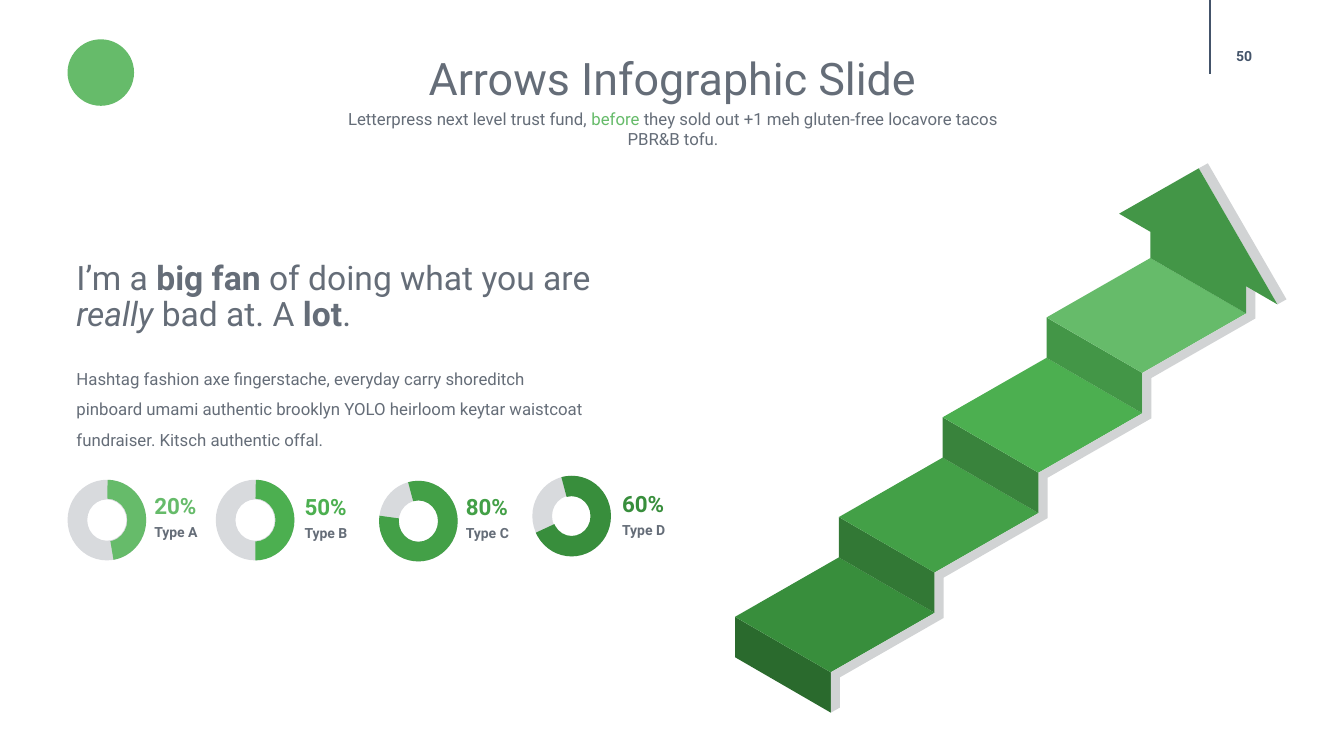
from dataclasses import dataclass

from lxml import etree
from pptx import Presentation
from pptx.dml.color import RGBColor
from pptx.enum.shapes import MSO_CONNECTOR, MSO_SHAPE
from pptx.enum.text import MSO_ANCHOR, MSO_AUTO_SIZE, PP_ALIGN
from pptx.oxml.ns import qn
from pptx.util import Pt

OVAL, DONUT, BLOCK_ARC = MSO_SHAPE.OVAL, MSO_SHAPE.DONUT, MSO_SHAPE.BLOCK_ARC
STRAIGHT = MSO_CONNECTOR.STRAIGHT
LEFT, CENTER = PP_ALIGN.LEFT, PP_ALIGN.CENTER
TOP, MIDDLE = MSO_ANCHOR.TOP, MSO_ANCHOR.MIDDLE
NO_AUTOSIZE = MSO_AUTO_SIZE.NONE

EMU_PER_PX = 9144  # 100 px to the inch
FONT = "Roboto"
GREY, NAVY, TRACK, SHADOW = "656D78", "44546A", "D8DADD", "D1D3D4"
LIGHT_GREEN, ARROW_GREEN = "66BB6A", "439647"
TITLE_ONLY = 5

Point = tuple[int, int]
Box = tuple[int, int, int, int]


@dataclass(frozen=True)
class TextRun:
    text: str
    color: str = GREY
    bold: bool = False
    italic: bool = False


@dataclass(frozen=True)
class Step:
    tread: str
    riser: str


@dataclass(frozen=True)
class Gauge:
    ring: Point
    label: Point
    percent: str
    name: str
    color: str
    arc: tuple[float, float, float]


STEPS = [
    Step("388E3C", "2A6A2D"),
    Step("43A047", "327835"),
    Step("4CAF50", "39833C"),
    Step(LIGHT_GREEN, ARROW_GREEN),
]
STAIR_START: Point = (729, 612)
STEP_SHIFT: Point = (103, -99)
TREAD: list[Point] = [(0, 0), (103, -59), (198, -4), (95, 55)]
RISER: list[Point] = [(0, 0), (95, 55), (95, 95), (0, 40)]
SHADOW_SHIFT: Point = (9, 5)
ARROW_HEAD: list[Point] = [(1267, 302), (1189, 167), (1110, 212), (1141, 230),
                           (1141, 256), (1236, 311), (1236, 284)]
HEAD_SHADOW: list[Point] = [(1198, 162), (1189, 167), (1267, 302), (1276, 297)]

GAUGES = [
    Gauge((67, 476), (153, 491), "20%", "Type A", LIGHT_GREEN, (162.64, 48.33, 0.24)),
    Gauge((214, 476), (302, 492), "50%", "Type B", "4CAF50", (162.64, 53.67, 0.24)),
    Gauge((376, 477), (462, 492), "80%", "Type C", "43A047", (153.14, 112.73, 0.25)),
    Gauge((528, 472), (617, 489), "60%", "Type D", "388E3C", (153.14, 93.04, 0.26)),
]


def px(value: int) -> int:
    return value * EMU_PER_PX


def rgb(color: str) -> RGBColor:
    return RGBColor.from_string(color)


def shifted(points: list[Point], offset: Point) -> list[Point]:
    return [(x + offset[0], y + offset[1]) for x, y in points]


def paint(shape, color: str) -> None:
    shape.shadow.inherit = False
    shape.fill.solid()
    shape.fill.fore_color.rgb = rgb(color)
    shape.line.fill.background()


def add_preset(slide, kind, box: Box, color: str):
    shape = slide.shapes.add_shape(kind, *map(px, box))
    paint(shape, color)
    return shape


def add_polygon(slide, points: list[Point], color: str) -> None:
    builder = slide.shapes.build_freeform(*points[0], scale=EMU_PER_PX)
    builder.add_line_segments(points[1:], close=True)
    paint(builder.convert_to_shape(), color)


def write_text(shape, box: Box, runs: list[TextRun], size: int, align=LEFT,
               anchor=TOP, spacing: float = 1.0, inset: bool = True) -> None:
    shape.left, shape.top, shape.width, shape.height = map(px, box)
    frame = shape.text_frame
    frame.word_wrap = True
    frame.auto_size = NO_AUTOSIZE
    frame.vertical_anchor = anchor
    frame.margin_left = frame.margin_right = px(10 if inset else 0)
    frame.margin_top = frame.margin_bottom = px(5 if inset else 0)
    paragraph = frame.paragraphs[0]
    paragraph.alignment = align
    paragraph.line_spacing = spacing
    for item in runs:
        run = paragraph.add_run()
        run.text = item.text
        run.font.name = FONT
        run.font.size = Pt(size)
        run.font.bold = item.bold
        run.font.italic = item.italic
        run.font.color.rgb = rgb(item.color)


def add_text(slide, box: Box, runs: list[TextRun], size: int, **layout) -> None:
    write_text(slide.shapes.add_textbox(*map(px, box)), box, runs, size, **layout)


def add_header(slide) -> None:
    add_preset(slide, OVAL, (67, 39, 66, 66), LIGHT_GREEN)
    rule = slide.shapes.add_connector(STRAIGHT, px(1200), 0, px(1200), px(73))
    rule.line.color.rgb = rgb(NAVY)
    rule.line.width = Pt(1)
    etree.SubElement(rule._element.spPr, qn("a:effectLst"))
    add_text(slide, (1194, 36, 80, 40), [TextRun("50", NAVY, bold=True)], 10,
             align=CENTER, anchor=MIDDLE, inset=False)
    write_text(slide.shapes.title, (254, 45, 826, 64),
               [TextRun("Arrows Infographic Slide")], 32, align=CENTER)
    add_text(slide, (320, 103, 695, 50), [
        TextRun("Letterpress next level trust fund, "),
        TextRun("before", LIGHT_GREEN),
        TextRun(" they sold out +1 meh gluten-free locavore tacos PBR&B tofu."),
    ], 12, align=CENTER)


def add_stairs(slide) -> None:
    edge: list[Point] = []
    for index, step in enumerate(STEPS):
        corner = (STAIR_START[0] + index * STEP_SHIFT[0],
                  STAIR_START[1] + index * STEP_SHIFT[1])
        tread, riser = shifted(TREAD, corner), shifted(RISER, corner)
        add_polygon(slide, riser, step.riser)
        add_polygon(slide, tread, step.tread)
        if not edge:
            edge.append(riser[2])
        edge += [tread[3], tread[2]]
    # Shadow follows the front edge of the stairs
    edge.append(ARROW_HEAD[-1])
    outer = shifted(edge[1:-1], SHADOW_SHIFT)
    outer = [(833, 702)] + outer + [(1245, 278)]
    add_polygon(slide, edge + outer[::-1], SHADOW)
    # Arrow head
    add_polygon(slide, HEAD_SHADOW, SHADOW)
    add_polygon(slide, ARROW_HEAD, ARROW_GREEN)


def add_message(slide) -> None:
    add_text(slide, (66, 254, 546, 83), [
        TextRun("I’m a "),
        TextRun("big fan ", bold=True),
        TextRun("of doing what you are "),
        TextRun("really", italic=True),
        TextRun(" bad at. A "),
        TextRun("lot", bold=True),
        TextRun("."),
    ], 24, spacing=0.9)
    add_text(slide, (66, 351, 532, 101), [TextRun(
        "Hashtag fashion axe fingerstache, everyday carry shoreditch pinboard "
        "umami authentic brooklyn YOLO heirloom keytar waistcoat fundraiser. "
        "Kitsch authentic offal.")], 12, spacing=1.5)


def add_gauge(slide, gauge: Gauge) -> None:
    ring = (*gauge.ring, 78, 80)
    add_preset(slide, DONUT, ring, TRACK)
    arc = add_preset(slide, BLOCK_ARC, ring, gauge.color)
    for index, value in enumerate(gauge.arc):
        arc.adjustments[index] = value
    left, top = gauge.label
    add_text(slide, (left, top, 49, 29), [TextRun(gauge.percent, gauge.color, bold=True)],
             16, spacing=0.9, inset=False)
    add_text(slide, (left, top + 30, 49, 23), [TextRun(gauge.name, bold=True)],
             10, spacing=0.9, inset=False)


def main() -> None:
    presentation = Presentation()
    presentation.slide_width, presentation.slide_height = px(1333), px(750)
    slide = presentation.slides.add_slide(presentation.slide_layouts[TITLE_ONLY])
    add_header(slide)
    add_stairs(slide)
    add_message(slide)
    for gauge in GAUGES:
        add_gauge(slide, gauge)
    presentation.save("out.pptx")


if __name__ == "__main__":
    main()
